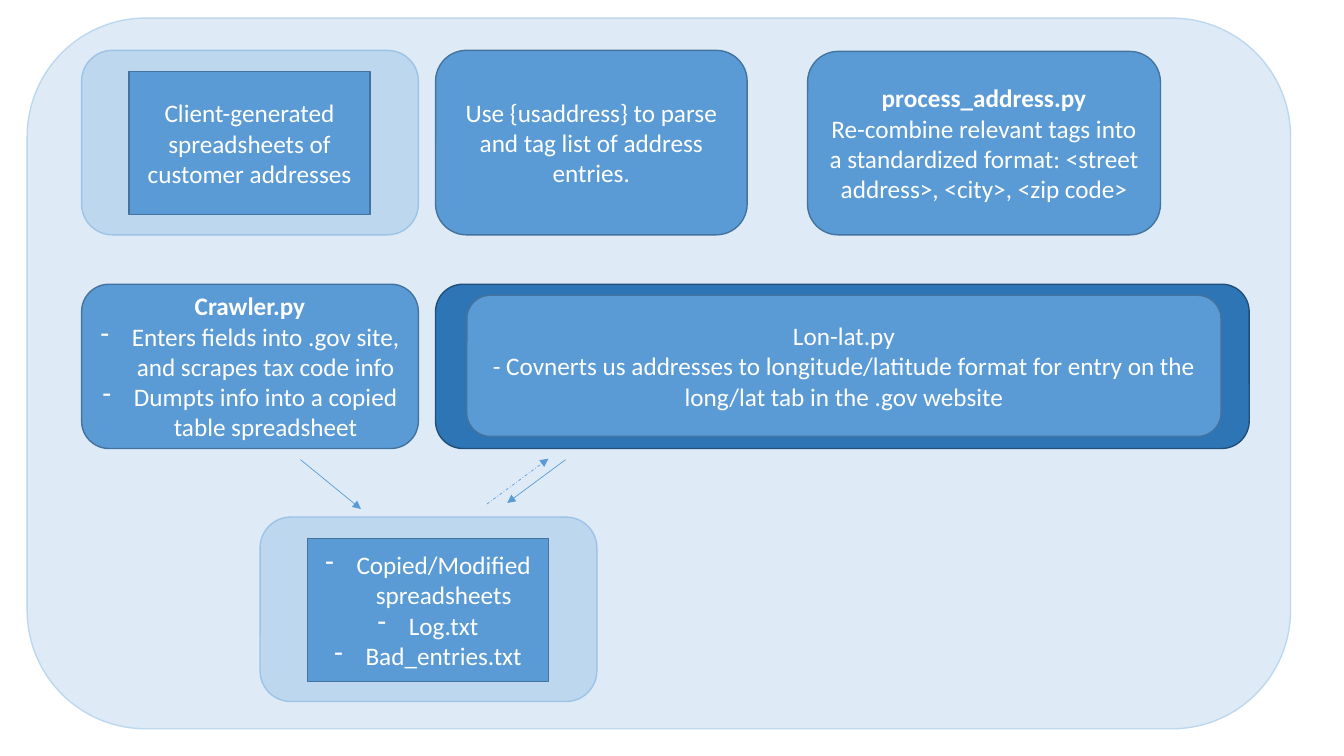
from lxml.etree import SubElement
from pptx import Presentation
from pptx.dml.color import RGBColor
from pptx.enum.dml import MSO_LINE
from pptx.enum.shapes import MSO_CONNECTOR, MSO_SHAPE
from pptx.enum.text import MSO_ANCHOR, PP_ALIGN
from pptx.oxml.ns import qn
from pptx.util import Inches, Pt

WHITE = RGBColor(0xFF, 0xFF, 0xFF)
BLUE = RGBColor(0x5B, 0x9B, 0xD5)
BLUE_EDGE = RGBColor(0x43, 0x73, 0x9E)
DARK = RGBColor(0x2E, 0x75, 0xB6)
DARK_EDGE = RGBColor(0x1F, 0x4E, 0x79)
LIGHT = RGBColor(0xBD, 0xD7, 0xEE)
LIGHT_EDGE = RGBColor(0x9D, 0xC3, 0xE6)
PALE = RGBColor(0xDE, 0xEB, 0xF7)

ROUND, RECT = MSO_SHAPE.ROUNDED_RECTANGLE, MSO_SHAPE.RECTANGLE
PLAIN, BOLD, BULLET = "plain", "bold", "bullet"
BULLET_INDENT = Inches(0.31)

prs = Presentation()
prs.slide_width, prs.slide_height = Inches(13.33), Inches(7.5)
slide = prs.slides.add_slide(prs.slide_layouts[6])


def add_box(preset, left, top, width, height, fill=BLUE, edge=BLUE_EDGE, lines=()):
    """Add a box; lines holds (style, text) pairs, one per paragraph."""
    box = slide.shapes.add_shape(
        preset, Inches(left), Inches(top), Inches(width), Inches(height))
    box.shadow.inherit = False
    box.fill.solid()
    box.fill.fore_color.rgb = fill
    box.line.color.rgb = edge
    box.line.width = Pt(1)
    frame = box.text_frame
    frame.word_wrap = True
    frame.vertical_anchor = MSO_ANCHOR.MIDDLE
    frame.text = "\n".join(text for _, text in lines)
    for paragraph, (style, _) in zip(frame.paragraphs, lines):
        paragraph.alignment = PP_ALIGN.CENTER
        font = paragraph.runs[0].font
        font.name, font.size = "Calibri", Pt(18)
        font.color.rgb = WHITE
        font.bold = style == BOLD
        if style == BULLET:
            properties = paragraph._p.get_or_add_pPr()
            properties.set("marL", str(BULLET_INDENT))
            properties.set("indent", str(-BULLET_INDENT))
            SubElement(properties, qn("a:buFontTx"))
            SubElement(properties, qn("a:buChar"), char="-")


# Background panel
add_box(ROUND, 0.27, 0.18, 12.53, 7.05, PALE, LIGHT)

# Spreadsheets going in and files coming out, each in a light frame
client_lines = [(PLAIN, "Client-generated spreadsheets of customer addresses")]
output_lines = [
    (BULLET, "Copied/Modified spreadsheets"),
    (BULLET, "Log.txt"),
    (BULLET, "Bad_entries.txt"),
]
for left, top, lines in [(0.81, 0.5, client_lines), (2.58, 5.13, output_lines)]:
    add_box(ROUND, left, top, 3.34, 1.83, LIGHT, LIGHT_EDGE)
    add_box(RECT, left + 0.47, top + 0.21, 2.39, 1.42, lines=lines)

# Address processing steps
add_box(ROUND, 4.32, 0.5, 3.09, 1.83, lines=[
    (PLAIN, "Use {usaddress} to parse and tag list of address entries."),
])
add_box(ROUND, 8.01, 0.51, 3.5, 1.82, lines=[
    (BOLD, "process_address.py"),
    (PLAIN, "Re-combine relevant tags into a standardized format: "
            "<street address>, <city>, <zip code>"),
])

# Scripts working with the website
add_box(ROUND, 0.81, 2.82, 3.34, 1.63, lines=[
    (BOLD, "Crawler.py"),
    (BULLET, "Enters fields into .gov site, and scrapes tax code info"),
    (BULLET, "Dumpts info into a copied table spreadsheet"),
])
add_box(ROUND, 4.32, 2.82, 8.07, 1.63, DARK, DARK_EDGE)
add_box(ROUND, 4.63, 2.93, 7.48, 1.4, lines=[
    (PLAIN, "Lon-lat.py"),
    (PLAIN, "- Covnerts us addresses to longitude/latitude format for entry "
            "on the long/lat tab in the .gov website"),
])

# Arrows between the scripts and the output files
for x1, y1, x2, y2, dash in [
    (2.98, 4.56, 3.58, 5.05, None),
    (4.83, 5.0, 5.44, 4.55, MSO_LINE.DASH_DOT),
    (5.61, 4.56, 5.03, 4.99, None),
]:
    arrow = slide.shapes.add_connector(
        MSO_CONNECTOR.STRAIGHT, Inches(x1), Inches(y1), Inches(x2), Inches(y2))
    arrow.line.color.rgb = BLUE
    arrow.line.width = Pt(0.5)
    if dash:
        arrow.line.dash_style = dash
    SubElement(arrow.line._get_or_add_ln(), qn("a:tailEnd"), type="triangle")
    SubElement(arrow._element.spPr, qn("a:effectLst"))

prs.save("out.pptx")
